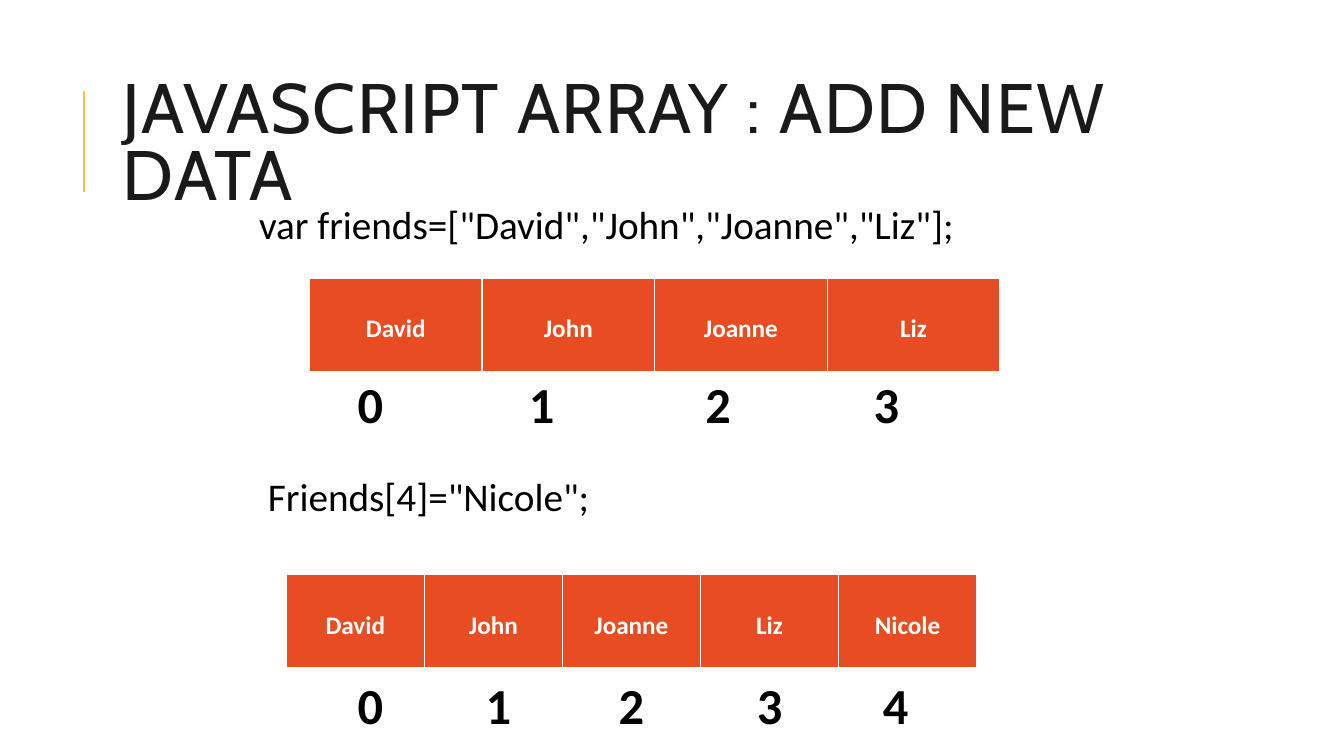
from dataclasses import dataclass

import pptx
import pptx.dml.color
import pptx.enum.shapes
import pptx.enum.text
import pptx.oxml
import pptx.oxml.ns
import pptx.util
import lxml.etree

COLUMNS, ROWS = 160, 90
CELL = pptx.util.Inches(1) // 12


@dataclass(frozen=True)
class Theme:
    heading_font: str = "Cabin"
    body_font: str = "Calibri"
    heading: str = "1A1A1A"
    ink: str = "000000"
    white: str = "FFFFFF"
    cell: str = "E84C22"
    accent: str = "FFBD47"
    heading_size: int = 50
    index_size: int = 36
    code_size: int = 28
    cell_size: int = 18


@dataclass(frozen=True)
class Box:
    left: float
    top: float
    width: float
    height: float

    def lengths(self) -> tuple[int, ...]:
        return tuple(grid(value) for value in (self.left, self.top, self.width, self.height))


@dataclass(frozen=True)
class ArrayDiagram:
    box: Box
    names: tuple[str, ...]
    index_lefts: tuple[float, ...]
    index_top: float


THEME = Theme()
DIAGRAMS = (
    ArrayDiagram(
        Box(36.84, 33.12, 82.2, 11.28),
        ("David", "John", "Joanne", "Liz"),
        (41.4, 61.8, 82.8, 102.84),
        43.8,
    ),
    ArrayDiagram(
        Box(34.08, 68.4, 82.2, 11.28),
        ("David", "John", "Joanne", "Liz", "Nicole"),
        (41.4, 56.64, 72.48, 88.92, 103.92),
        79.68,
    ),
)


def grid(cells: float) -> int:
    return round(cells * CELL)


def color(value: str) -> pptx.dml.color.RGBColor:
    return pptx.dml.color.RGBColor.from_string(value)


def write(frame, text: str, *, size: int, ink: str = THEME.ink, font: str = THEME.body_font,
          bold: bool = False, align=None, line_spacing: float = 1.0,
          before: float = 0, after: float = 0, tracking: int = 0) -> None:
    paragraph = frame.paragraphs[0]
    paragraph.alignment = align
    paragraph.line_spacing = line_spacing
    paragraph.space_before = pptx.util.Pt(before)
    paragraph.space_after = pptx.util.Pt(after)
    run = paragraph.add_run()
    run.text = text
    run.font.name = font
    run.font.size = pptx.util.Pt(size)
    run.font.bold = bold
    run.font.color.rgb = color(ink)
    if tracking:
        run.font._element.set("spc", str(tracking))


def add_frame(slide, box: Box, *, wrap: bool):
    frame = slide.shapes.add_textbox(*box.lengths()).text_frame
    frame.word_wrap = wrap
    if not wrap:
        frame.auto_size = pptx.enum.text.MSO_AUTO_SIZE.SHAPE_TO_FIT_TEXT
    return frame


def add_border(cell, side: str, points: int) -> None:
    properties = cell._tc.get_or_add_tcPr()
    line = lxml.etree.SubElement(
        properties, pptx.oxml.ns.qn(f"a:ln{side}"), w=str(pptx.util.Pt(points)))
    fill = lxml.etree.SubElement(line, pptx.oxml.ns.qn("a:solidFill"))
    lxml.etree.SubElement(fill, pptx.oxml.ns.qn("a:srgbClr"), val=THEME.white)


def add_diagram(slide, diagram: ArrayDiagram) -> None:
    count = len(diagram.names)
    table = slide.shapes.add_table(1, count, *diagram.box.lengths()).table
    for column, name in enumerate(diagram.names):
        table.columns[column].width = grid(diagram.box.width / count)
        cell = table.cell(0, column)
        for side, points in {"L": 1, "R": 1, "T": 1, "B": 3}.items():
            add_border(cell, side, points)
        cell.fill.solid()
        cell.fill.fore_color.rgb = color(THEME.cell)
        write(cell.text_frame, name, size=THEME.cell_size, ink=THEME.white, bold=True,
              align=pptx.enum.text.PP_ALIGN.CENTER, line_spacing=2.0)
    for index, left in enumerate(diagram.index_lefts):
        frame = add_frame(slide, Box(left, diagram.index_top, 5.52, 8.52), wrap=False)
        write(frame, str(index), size=THEME.index_size, bold=True)


def add_accent(slide) -> None:
    connector = slide.shapes.add_connector(
        pptx.enum.shapes.MSO_CONNECTOR.STRAIGHT, grid(10), grid(22.8), grid(10), grid(10.8))
    connector.line.color.rgb = color(THEME.accent)
    connector.line.width = pptx.util.Pt(1.5)
    lxml.etree.SubElement(connector._element.spPr, pptx.oxml.ns.qn("a:effectLst"))


def main() -> None:
    presentation = pptx.Presentation()
    presentation.slide_width = grid(COLUMNS)
    presentation.slide_height = grid(ROWS)
    slide = presentation.slides.add_slide(presentation.slide_layouts[6])
    add_accent(slide)

    title = add_frame(slide, Box(13.44, 7.68, 127.56, 19.68), wrap=True)
    title.vertical_anchor = pptx.enum.text.MSO_ANCHOR.MIDDLE
    write(title, "JAVASCRIPT ARRAY : ADD NEW DATA", size=THEME.heading_size, ink=THEME.heading,
          font=THEME.heading_font, line_spacing=0.8, tracking=100)

    declaration = add_frame(slide, Box(26.04, 23.88, 108, 52.44), wrap=True)
    declaration.margin_left = grid(4.8)
    declaration.margin_top = declaration.margin_right = declaration.margin_bottom = grid(0.6)
    write(declaration, 'var friends=["David","John","Joanne","Liz"];', size=THEME.code_size,
          line_spacing=0.9, before=12, after=2)

    for diagram in DIAGRAMS:
        add_diagram(slide, diagram)

    assignment = add_frame(slide, Box(30.72, 55.68, 41.16, 6.84), wrap=False)
    write(assignment, 'Friends[4]="Nicole";', size=THEME.code_size)
    presentation.save("out.pptx")


if __name__ == "__main__":
    main()
